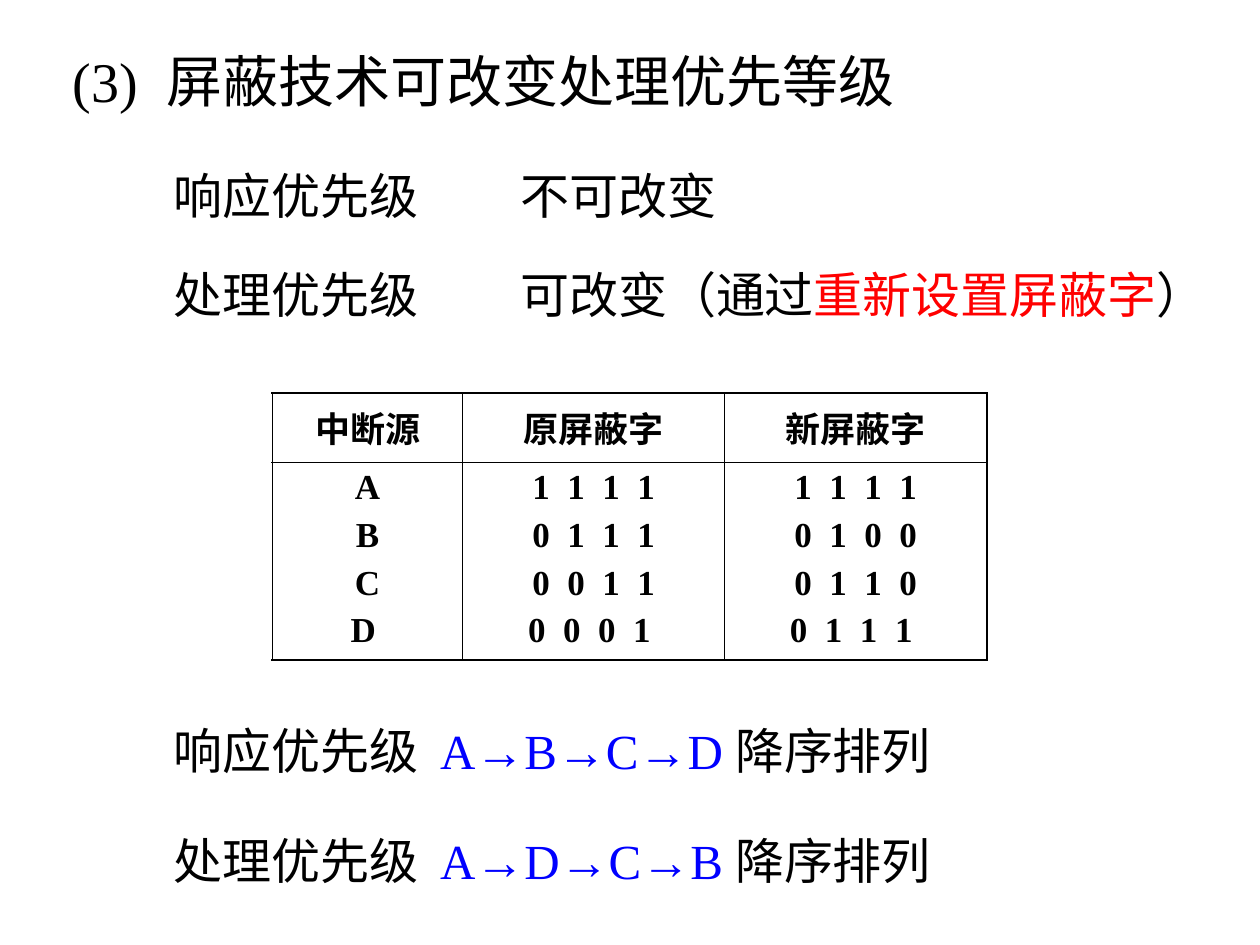
from dataclasses import dataclass

from lxml.etree import SubElement
from pptx import Presentation
from pptx.dml.color import RGBColor
from pptx.enum.text import MSO_ANCHOR, MSO_AUTO_SIZE, PP_ALIGN
from pptx.oxml.ns import qn
from pptx.util import Cm, Pt


@dataclass(frozen=True)
class Theme:
    font: str = "Times New Roman"
    black: str = "000000"
    red: str = "FF0000"
    blue: str = "0000FF"
    title_size: int = 32
    body_size: int = 28
    table_size: int = 20
    outer_line: float = 1.08
    inner_line: float = 0.45


theme = Theme()


def add_text(paragraph, text, *, size=theme.body_size, color=theme.black, bold=False):
    run = paragraph.add_run()
    run.text = text
    run.font.name = theme.font
    run.font.size = Pt(size)
    run.font.bold = bold
    run.font.color.rgb = RGBColor.from_string(color)


def prepare_frame(shape):
    frame = shape.text_frame
    frame.margin_left = frame.margin_right = frame.margin_top = frame.margin_bottom = 0
    frame.vertical_anchor = MSO_ANCHOR.MIDDLE
    frame.word_wrap = True
    frame.auto_size = MSO_AUTO_SIZE.NONE
    paragraph = frame.paragraphs[0]
    paragraph.alignment = PP_ALIGN.LEFT
    return paragraph


presentation = Presentation()
presentation.slide_width = Cm(25.4)
presentation.slide_height = Cm(19.05)
slide = presentation.slides.add_slide(presentation.slide_layouts[5])

title = slide.shapes.title
title.left, title.top, title.width, title.height = Cm(1.47), Cm(0.91), Cm(19.02), Cm(1.4)
add_text(prepare_frame(title), "(3)  屏蔽技术可改变处理优先等级", size=theme.title_size)

label_left, detail_left = 3.5, 10.49
statements = [
    (label_left, 3.33, 5.94, [("响应优先级", theme.black)]),
    (detail_left, 3.33, 5.94, [("不可改变", theme.black)]),
    (label_left, 5.33, 5.94, [("处理优先级", theme.black)]),
    (detail_left, 5.33, 14, [
        ("可改变（通过", theme.black), ("重新设置屏蔽字", theme.red), ("）", theme.black),
    ]),
]
orders = [(14.53, "响应优先级  ", "A→B→C→D "), (16.74, "处理优先级  ", "A→D→C→B ")]
for top, label, order in orders:
    statements.append((label_left, top, 18, [
        (label, theme.black), (order, theme.blue), ("降序排列", theme.black),
    ]))

for left, top, width, parts in statements:
    text_box = slide.shapes.add_textbox(Cm(left), Cm(top), Cm(width), Cm(1.19))
    paragraph = prepare_frame(text_box)
    for text, color in parts:
        add_text(paragraph, text, color=color)

mask_rows = [
    [["中断源"], ["原屏蔽字"], ["新屏蔽字"]],
    [
        ["A", "B", "C", "D "],
        ["1  1  1  1", "0  1  1  1", "0  0  1  1", "0  0  0  1 "],
        ["1  1  1  1", "0  1  0  0", "0  1  1  0", "0  1  1  1 "],
    ],
]
column_widths = [3.84, 5.28, 5.28]
row_heights = [1.4, 3.99]
table = slide.shapes.add_table(
    len(row_heights), len(column_widths), Cm(5.49), Cm(7.92),
    Cm(sum(column_widths)), Cm(sum(row_heights)),
).table
table.first_row = False
table.horz_banding = False
for column, width in zip(table.columns, column_widths):
    column.width = Cm(width)
for row, height in zip(table.rows, row_heights):
    row.height = Cm(height)

for row_index, mask_row in enumerate(mask_rows):
    for column_index, lines in enumerate(mask_row):
        cell = table.cell(row_index, column_index)
        cell.vertical_anchor = MSO_ANCHOR.MIDDLE if row_index == 0 else MSO_ANCHOR.TOP
        frame = cell.text_frame
        for line_index, line in enumerate(lines):
            paragraph = frame.add_paragraph() if line_index else frame.paragraphs[0]
            paragraph.alignment = PP_ALIGN.CENTER
            paragraph.space_before = Pt(5)
            add_text(paragraph, line, size=theme.table_size, bold=True)

        outer_sides = {
            "L": column_index == 0,
            "R": column_index == len(column_widths) - 1,
            "T": row_index == 0,
            "B": row_index == len(row_heights) - 1,
        }
        properties = cell._tc.get_or_add_tcPr()
        for side, is_outer in outer_sides.items():
            line_width = theme.outer_line if is_outer else theme.inner_line
            border = SubElement(properties, qn(f"a:ln{side}"), w=str(Pt(line_width)))
            fill = SubElement(border, qn("a:solidFill"))
            SubElement(fill, qn("a:srgbClr"), val=theme.black)
        cell.fill.background()

presentation.save("out.pptx")
